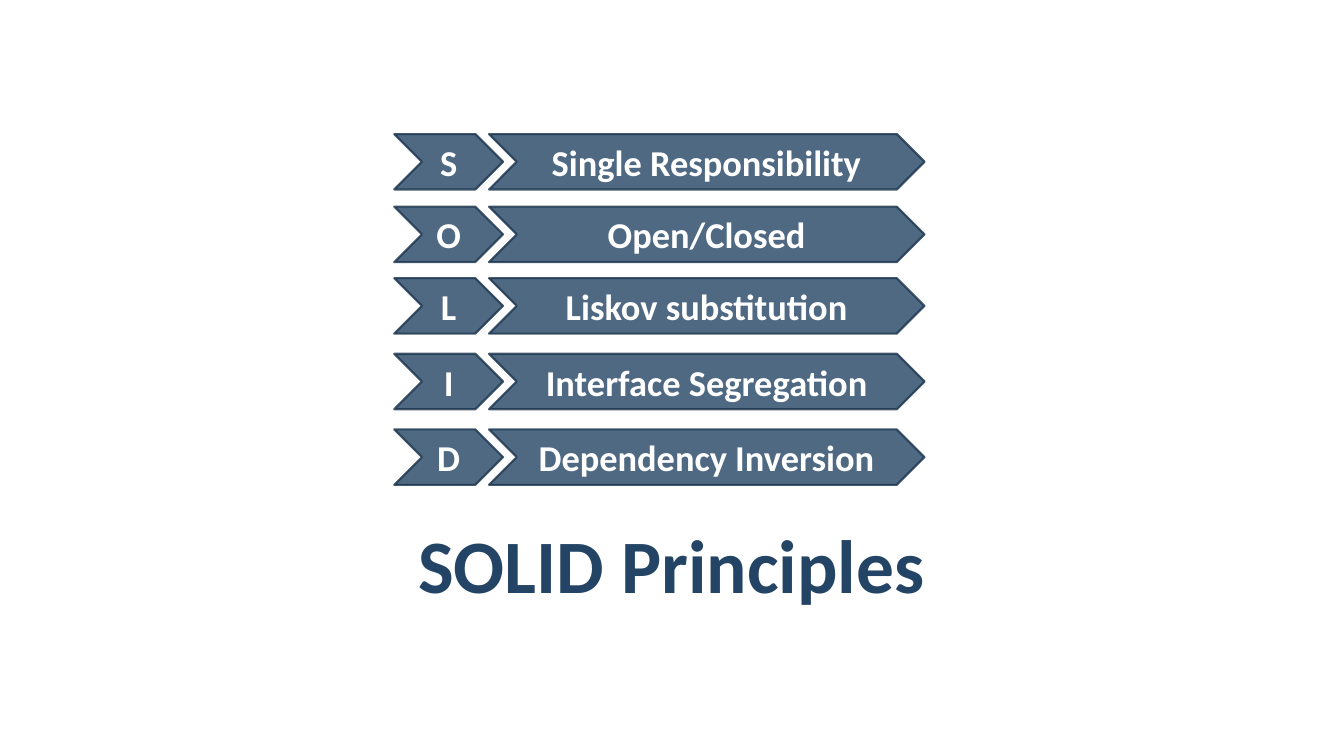
from lxml import etree
from pptx import Presentation
from pptx.dml.color import RGBColor
from pptx.enum.shapes import MSO_SHAPE
from pptx.enum.text import MSO_ANCHOR, PP_ALIGN
from pptx.oxml.ns import qn
from pptx.util import Inches, Pt

CHEVRON = MSO_SHAPE.CHEVRON
MIDDLE = MSO_ANCHOR.MIDDLE
CENTER = PP_ALIGN.CENTER
NAVY, DARK_NAVY, WHITE = "234465", "1A334C", "FFFFFF"
OPACITY = 80
PRINCIPLES = [
    ("S", "Single Responsibility", 0),
    ("O", "Open/Closed", 0.72),
    ("L", "Liskov substitution", 1.43),
    ("I", "Interface Segregation", 2.18),
    ("D", "Dependency Inversion", 2.93),
]
ROW_HEIGHT = 0.55
LETTER_WIDTH = 1.08
NAME_OFFSET = 0.94


def rgb(color):
    """Turn a hex string into a colour."""
    return RGBColor.from_string(color)


def apply_format(target, values):
    """Set each attribute in the dict on the target."""
    for name, value in values.items():
        setattr(target, name, value)


def paint(fill, color):
    """Give a fill a solid, partly transparent colour."""
    fill.solid()
    fill.fore_color.rgb = rgb(color)


def add_opacity(shape):
    """Make the fill and the outline of a shape partly transparent."""
    for color in shape.element.spPr.iter(qn("a:srgbClr")):
        etree.SubElement(color, qn("a:alpha"), val=str(OPACITY * 1000))


def write(frame, text, size, color):
    """Write one bold centred line in a text frame and return its paragraph."""
    frame.vertical_anchor = MIDDLE
    para = frame.paragraphs[0]
    para.alignment = CENTER
    span = para.add_run()
    span.text = text
    apply_format(span.font, {"name": "Calibri", "size": Pt(size), "bold": True})
    span.font.color.rgb = rgb(color)
    return para


def add_chevron(group, text, left, top, width):
    """Add one labelled chevron to a group."""
    chevron = group.shapes.add_shape(
        CHEVRON, Inches(left), Inches(top), Inches(width), Inches(ROW_HEIGHT))
    chevron.shadow.inherit = False
    paint(chevron.fill, NAVY)
    paint(chevron.line.fill, DARK_NAVY)
    chevron.line.width = Pt(1.5)
    add_opacity(chevron)
    write(chevron.text_frame, text, 26, WHITE)


def add_principles(page, left, top, width):
    """Add a letter chevron and a name chevron for each principle."""
    for letter, name, offset in PRINCIPLES:
        group = page.shapes.add_group_shape()
        add_chevron(group, letter, left, top + offset, LETTER_WIDTH)
        add_chevron(group, name, left + NAME_OFFSET, top + offset, width - NAME_OFFSET)


def add_title(page, left, top, width, height):
    """Add the large title below the chevrons."""
    box = page.shapes.add_textbox(
        Inches(left), Inches(top), Inches(width), Inches(height))
    apply_format(box.text_frame, {
        "word_wrap": True,
        "margin_left": Inches(0.12), "margin_right": Inches(0.12),
        "margin_top": Inches(0.04), "margin_bottom": Inches(0.04),
    })
    para = write(box.text_frame, "SOLID Principles", 53.9, NAVY)
    apply_format(para, {
        "line_spacing": 1.05, "space_before": Pt(6), "space_after": Pt(6)})


def main():
    """Build the slide and save the deck."""
    deck = Presentation()
    apply_format(deck, {"slide_width": Inches(13.33), "slide_height": Inches(7.5)})
    page = deck.slides.add_slide(deck.slide_layouts[6])
    add_title(page, 0.67, 5.15, 11.98, 0.84)
    add_principles(page, 3.91, 1.33, 5.26)
    deck.save("out.pptx")


if __name__ == "__main__":
    main()
